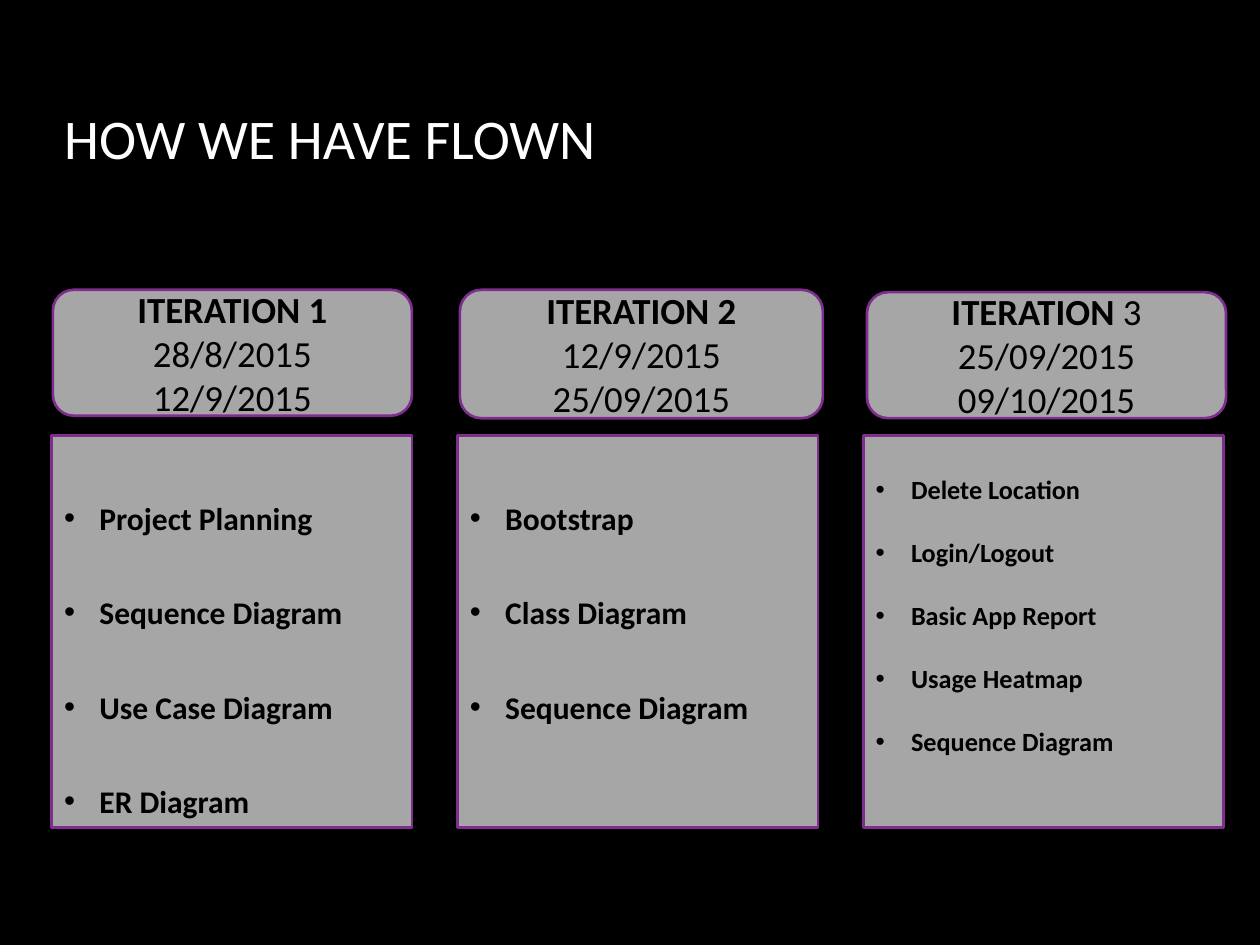
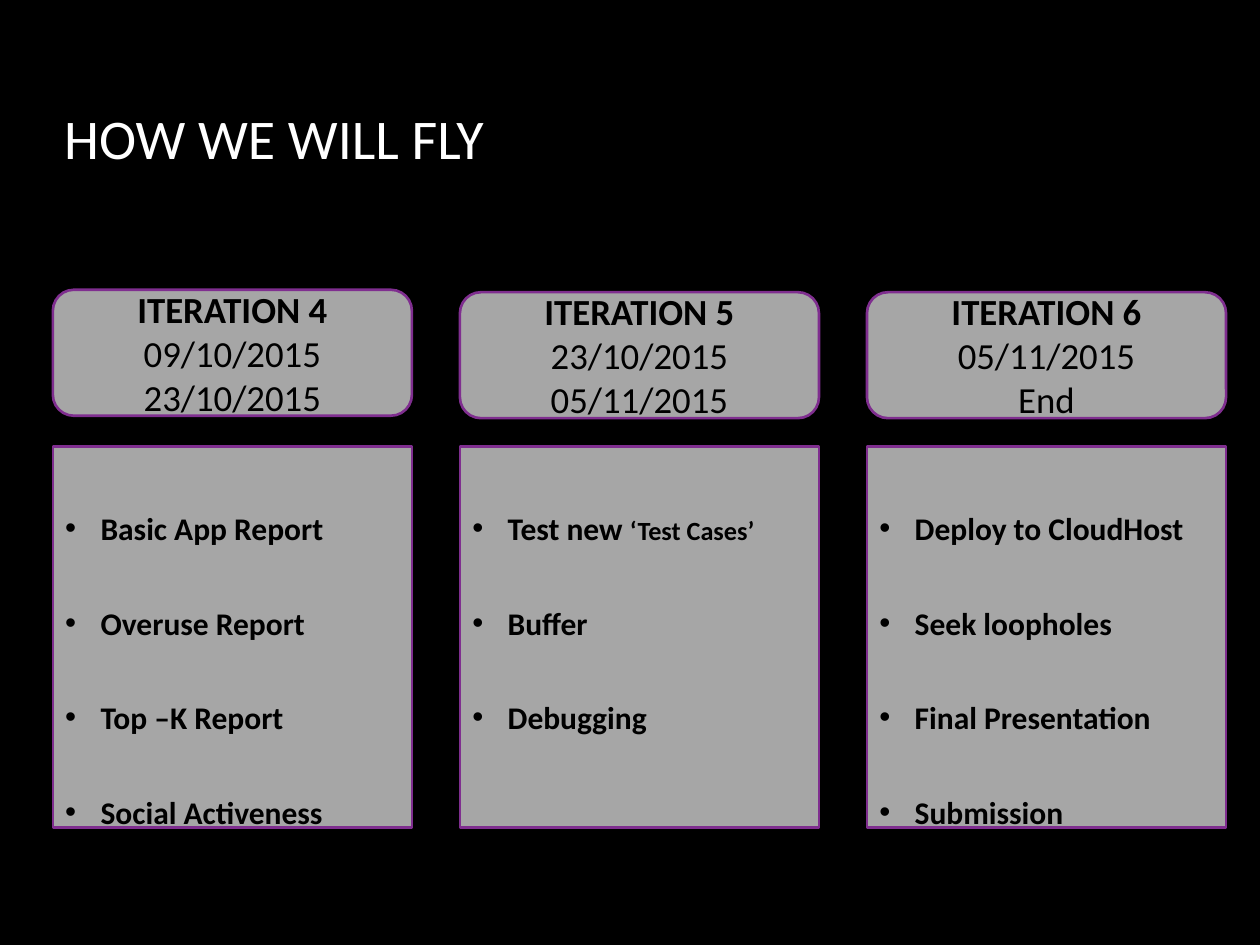
import pptx
import pptx.util
import pptx.dml.color
import pptx.enum.shapes
import pptx.enum.text
import pptx.oxml
import pptx.oxml.ns

Pt = pptx.util.Pt
SHAPE = pptx.enum.shapes.MSO_SHAPE
ALIGN = pptx.enum.text.PP_ALIGN
ANCHOR = pptx.enum.text.MSO_ANCHOR

COLORS = {"back": "000000", "title": "FFFFFF", "card": "A6A6A6",
          "edge": "7F2E8F", "text": "000000"}
FONT = "Calibri"
TITLE = {"size": Pt(32), "bold": False}
HEAD = {"size": Pt(21), "bold": True}
DATE = {"size": Pt(21), "bold": False}
ITEM = {"size": Pt(18), "bold": True}
SMALL = {"size": Pt(15), "bold": True}

TITLE_BOX = (29.5, 55.5, 612, 57.6)
LEFT, PITCH = 30.2, 232.6
BOTTOM = 473
INDENT = 20.2

# Header box: top, width, height; header and items: paragraphs of (text, format) runs
HIGH, LOW, WIDE = (165.6, 205.2, 72), (167, 205.2, 72), (165.6, 207.4, 73.4)


def items(fmt, *texts):
    return [[(text, fmt)] for text in texts]


def header(number, *dates):
    return items(HEAD, f"ITERATION {number}") + items(DATE, *dates)


SLIDES = [
    {"title": "HOW WE HAVE FLOWN",
     "lists": {"left": 29.5, "pitch": 231.9, "top": 249, "width": 206},
     "columns": [
         (HIGH, header(1, "28/8/2015", "12/9/2015"), 2.5,
          items(ITEM, "Project Planning", "Sequence Diagram",
                "Use Case Diagram", "ER Diagram")),
         (WIDE, header(2, "12/9/2015", "25/09/2015"), 2.5,
          items(ITEM, "Bootstrap", "Class Diagram", "Sequence Diagram")),
         (LOW, [[("ITERATION", HEAD), (" 3", DATE)]]
          + items(DATE, "25/09/2015", "09/10/2015"), 2.0,
          items(SMALL, "Delete Location", "Login/Logout", "Basic App Report",
                "Usage Heatmap", "Sequence Diagram"))]},
    {"title": "HOW WE WILL FLY",
     "lists": {"left": LEFT, "pitch": PITCH, "top": 255, "width": 205.2},
     "columns": [
         (HIGH, header(4, "09/10/2015", "23/10/2015"), 2.5,
          items(ITEM, "Basic App Report", "Overuse Report",
                "Top –K Report", "Social Activeness")),
         (LOW, header(5, "23/10/2015", "05/11/2015"), 2.5,
          [[("Test new ", ITEM), ("‘Test Cases’", SMALL)]]
          + items(ITEM, "Buffer", "Debugging")),
         (LOW, header(6, "05/11/2015", "End"), 2.5,
          items(ITEM, "Deploy to CloudHost", "Seek loopholes",
                "Final Presentation", "Submission"))]},
]


def rgb(name):
    return pptx.dml.color.RGBColor.from_string(COLORS[name])


def set_attrs(obj, values):
    for name, value in values.items():
        setattr(obj, name, value)


def place(sp, box):
    set_attrs(sp, dict(zip(("left", "top", "width", "height"), map(Pt, box))))


def write(tf, paragraphs, color, para_format):
    """Fill a text frame and return its paragraphs."""
    for i, runs in enumerate(paragraphs):
        p = tf.paragraphs[0] if i == 0 else tf.add_paragraph()
        set_attrs(p, para_format)
        for text, fmt in runs:
            r = p.add_run()
            r.text = text
            set_attrs(r.font, {"name": FONT, **fmt})
            r.font.color.rgb = rgb(color)
    return tf.paragraphs


def add_card(slide, kind, box, anchor):
    sp = slide.shapes.add_shape(kind, *map(Pt, box))
    sp.shadow.inherit = False
    sp.fill.solid()
    sp.fill.fore_color.rgb = rgb("card")
    sp.line.color.rgb = rgb("edge")
    sp.line.width = Pt(1.5)
    set_attrs(sp.text_frame, {"word_wrap": True, "vertical_anchor": anchor})
    return sp.text_frame


def add_header(slide, box, paragraphs):
    tf = add_card(slide, SHAPE.ROUNDED_RECTANGLE, box, ANCHOR.MIDDLE)
    write(tf, paragraphs, "text", {"alignment": ALIGN.CENTER})


def add_list(slide, box, paragraphs, spacing):
    tf = add_card(slide, SHAPE.RECTANGLE, box, ANCHOR.TOP)
    para_format = {"alignment": ALIGN.LEFT, "line_spacing": spacing}
    for p in write(tf, paragraphs, "text", para_format):
        pPr = p._p.get_or_add_pPr()
        pPr.set("marL", str(Pt(INDENT)))
        pPr.set("indent", str(-Pt(INDENT)))
        for tag, key, value in (("buFont", "typeface", "Arial"), ("buChar", "char", "•")):
            bullet = pptx.oxml.parse_xml(
                f'<a:{tag} {pptx.oxml.ns.nsdecls("a")} {key}="{value}"/>')
            pPr.append(bullet)


def add_title(slide, text):
    tf = slide.shapes.title.text_frame
    set_attrs(tf, {"vertical_anchor": ANCHOR.TOP, "word_wrap": True,
                   "auto_size": pptx.enum.text.MSO_AUTO_SIZE.NONE})
    write(tf, items(TITLE, text), "title", {"alignment": ALIGN.LEFT})


def add_iterations_slide(prs, layout, data):
    slide = prs.slides.add_slide(layout)
    add_title(slide, data["title"])
    lists = data["lists"]
    for i, (size, head, spacing, tasks) in enumerate(data["columns"]):
        add_header(slide, (LEFT + i * PITCH, *size), head)
        box = (lists["left"] + i * lists["pitch"], lists["top"],
               lists["width"], BOTTOM - lists["top"])
        add_list(slide, box, tasks, spacing)


def main():
    prs = pptx.Presentation()
    set_attrs(prs, {"slide_width": Pt(720), "slide_height": Pt(540)})
    # Shared background and title position
    fill = prs.slide_master.background.fill
    fill.solid()
    fill.fore_color.rgb = rgb("back")
    layout = prs.slide_layouts[5]
    place(layout.placeholders[0], TITLE_BOX)
    for data in SLIDES:
        add_iterations_slide(prs, layout, data)
    prs.save("out.pptx")


if __name__ == "__main__":
    main()
